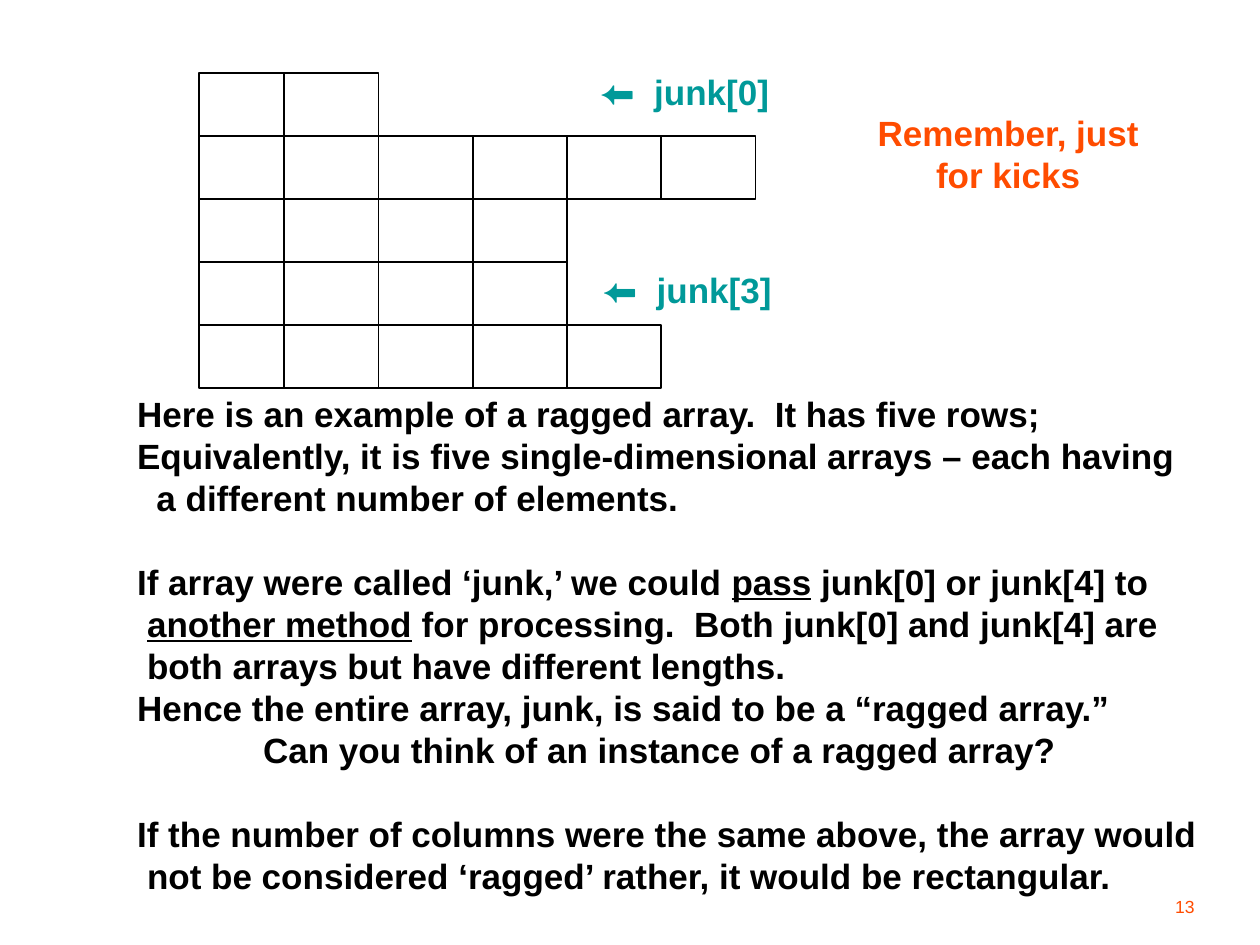
from lxml import etree
from pptx import Presentation
from pptx.dml.color import RGBColor
from pptx.enum.shapes import MSO_CONNECTOR, MSO_SHAPE
from pptx.enum.text import MSO_ANCHOR, PP_ALIGN
from pptx.oxml.ns import qn
from pptx.util import Cm, Pt

RECT = MSO_SHAPE.RECTANGLE
STRAIGHT = MSO_CONNECTOR.STRAIGHT
LEFT, CENTER, RIGHT = PP_ALIGN.LEFT, PP_ALIGN.CENTER, PP_ALIGN.RIGHT
TOP, BOTTOM = MSO_ANCHOR.TOP, MSO_ANCHOR.BOTTOM
BLACK, TEAL, ORANGE = "000000", "009999", "FF4C00"

ROW_LENGTHS = [2, 6, 4, 4, 5]
GRID_LEFT, GRID_TOP = 4.02, 1.48
FIRST_EDGE, CELL_W, CELL_H = 5.73, 1.9, 1.27

LINES = [
    (0, 0, [("Here is an example of a ragged array.  It has five rows;", False)]),
    (0, 0, [("Equivalently, it is five single-dimensional arrays – each having", False)]),
    (0.39, 0, [("a different number of elements.", False)]),
    (0, 24, [("If array were called ‘junk,’ we could ", False), ("pass", True),
             (" junk[0] or junk[4] to", False)]),
    (0.2, 0, [("another method", True),
              (" for processing.  Both junk[0] and junk[4] are", False)]),
    (0.2, 0, [("both arrays but have different lengths.", False)]),
    (0, 0, [("Hence the entire array, junk, is said to be a “ragged array.”", False)]),
    (2.54, 0, [("Can you think of an instance of a ragged array?", False)]),
    (0, 24, [("If the number of columns were the same above, the array would", False)]),
    (0.2, 0, [("not be considered ‘ragged’ rather, it would be rectangular.", False)]),
]


def rgb(value):
    """Return the colour of a hex string."""
    return RGBColor.from_string(value)


def add_run(p, text, size=20, color=BLACK, bold=True, underline=False):
    """Add formatted text to a paragraph."""
    r = p.add_run()
    r.text = text
    font = r.font
    font.name, font.size, font.bold = "Arial", Pt(size), bold
    font.underline = underline
    font.color.rgb = rgb(color)


def edge(column):
    """Return the right edge of a grid column in cm."""
    return FIRST_EDGE + (column - 1) * CELL_W


class Deck:
    """Hold the line style and the current slide."""

    def __init__(self, slide, color=BLACK, weight=1):
        """Keep the slide and the outline style."""
        self.slide, self.color, self.weight = slide, color, weight

    def outline(self, line):
        """Apply the outline style."""
        line.color.rgb = rgb(self.color)
        line.width = Pt(self.weight)

    def box(self, x, y, w, h):
        """Draw an unfilled rectangle."""
        sp = self.slide.shapes.add_shape(RECT, Cm(x), Cm(y), Cm(w), Cm(h))
        sp.shadow.inherit = False
        sp.fill.background()
        self.outline(sp.line)

    def line(self, x1, y1, x2, y2):
        """Draw a straight line."""
        sp = self.slide.shapes.add_connector(STRAIGHT, Cm(x1), Cm(y1), Cm(x2), Cm(y2))
        self.outline(sp.line)
        etree.SubElement(sp._element.spPr, qn("a:effectLst"))

    def text(self, text, x, y, w, h, align=LEFT, anchor=TOP, pitch=24, **fmt):
        """Add a one-paragraph text box."""
        tf = self.slide.shapes.add_textbox(Cm(x), Cm(y), Cm(w), Cm(h)).text_frame
        tf.word_wrap, tf.vertical_anchor = True, anchor
        p = tf.paragraphs[0]
        p.alignment, p.line_spacing = align, Pt(pitch)
        add_run(p, text, **fmt)

    def body(self, lines, x, y, w, h):
        """Fill the body placeholder with unbulleted lines of indent, space before and runs."""
        sp = self.slide.placeholders[1]
        sp.left, sp.top, sp.width, sp.height = Cm(x), Cm(y), Cm(w), Cm(h)
        tf = sp.text_frame
        tf.word_wrap, tf.vertical_anchor = True, TOP
        for i, (indent, before, runs) in enumerate(lines):
            p = tf.add_paragraph() if i else tf.paragraphs[0]
            p.alignment, p.line_spacing = LEFT, Pt(24)
            p.space_before, p.space_after = Pt(before), Pt(0)
            pPr = p._p.get_or_add_pPr()
            pPr.set("marL", str(Cm(indent)))
            pPr.set("indent", "0")
            etree.SubElement(pPr, qn("a:buNone"))
            for text, underline in runs:
                add_run(p, text, underline=underline)

    def ragged_grid(self, lengths):
        """Draw rows of different lengths with column dividers."""
        for row, length in enumerate(lengths):
            self.box(GRID_LEFT, GRID_TOP + row * CELL_H, edge(length) - GRID_LEFT, CELL_H)
        for column in range(1, max(lengths)):
            rows = [i for i, length in enumerate(lengths) if length > column]
            x = edge(column)
            self.line(x, GRID_TOP + rows[0] * CELL_H, x, GRID_TOP + (rows[-1] + 1) * CELL_H)


def main():
    """Build and save the slide."""
    prs = Presentation()
    prs.slide_width, prs.slide_height = Cm(25.4), Cm(19.05)
    slide = prs.slides.add_slide(prs.slide_layouts[1])
    title = slide.shapes.title._element
    title.getparent().remove(title)
    deck = Deck(slide)
    deck.ragged_grid(ROW_LENGTHS)
    deck.body(LINES, 2.51, 7.78, 22.4, 11.25)
    for label, x, y in (("⬅  junk[0]", 11.84, 1.3), ("⬅  junk[3]", 11.89, 5.28)):
        deck.text(label, x, y, 4.4, 1.11, color=TEAL)
    deck.text("Remember, just for kicks", 17.15, 2.12, 6.35, 1.96, align=CENTER, color=ORANGE)
    deck.text("13", 19.05, 17.55, 5.28, 1.07, align=RIGHT, anchor=BOTTOM, pitch=12,
              size=10, color=ORANGE, bold=False)
    prs.save("out.pptx")


if __name__ == "__main__":
    main()
